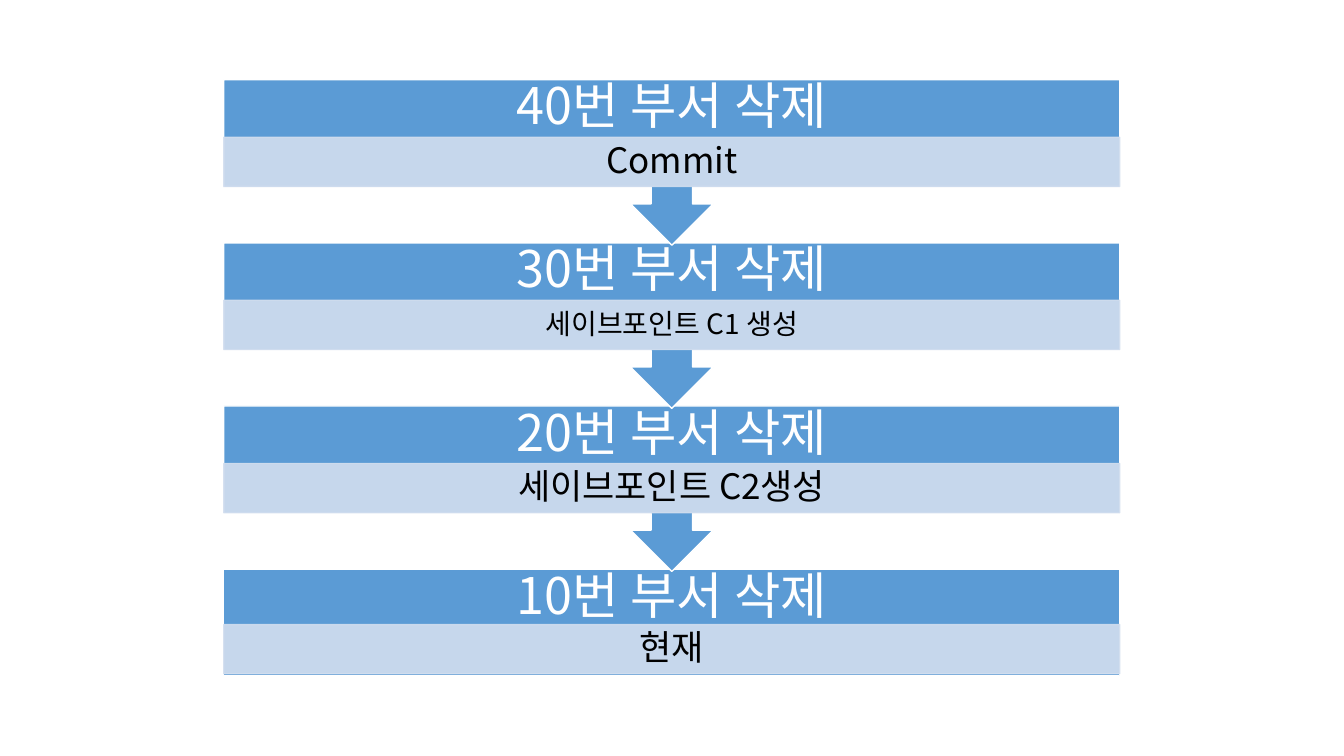
from lxml import etree
from pptx import Presentation
from pptx.dml.color import RGBColor
from pptx.enum.shapes import MSO_SHAPE
from pptx.enum.text import MSO_ANCHOR, PP_ALIGN
from pptx.oxml.ns import qn
from pptx.util import Cm, Pt

RECTANGLE = MSO_SHAPE.RECTANGLE
ARROW_CALLOUT = MSO_SHAPE.UP_ARROW_CALLOUT
MIDDLE = MSO_ANCHOR.MIDDLE
CENTER = PP_ALIGN.CENTER

COLORS = {"step": "5B9BD5", "band": "D2DEEF", "white": "FFFFFF", "black": "000000"}
FONT = "Noto Sans CJK KR"

# Heading, state after the step, size of the state text
STEPS = [
    ("40번 부서 삭제", "Commit", 25),
    ("30번 부서 삭제", "세이브포인트 C1 생성", 20),
    ("20번 부서 삭제", "세이브포인트 C2생성", 25),
    ("10번 부서 삭제", "현재", 25),
]
LEFT, WIDTH = Cm(5.64), Cm(22.58)
TOP, PITCH = Cm(2.01), Cm(4.11)
CALLOUT_HEIGHT, LAST_HEIGHT = Cm(4.17), Cm(2.69)
HEADING_HEIGHT, BAND_HEIGHT = Cm(1.45), Cm(1.24)
LAST_BAND_OFFSET = Cm(1.4)


def add_block(kind, top, height, fill, line):
    shape = slide.shapes.add_shape(kind, LEFT, top, WIDTH, height)
    shape.shadow.inherit = False
    shape.fill.solid()
    shape.fill.fore_color.rgb = RGBColor.from_string(COLORS[fill])
    shape.line.color.rgb = RGBColor.from_string(COLORS[line])
    shape.line.width = Pt(1)
    return shape


def write_centered(shape, text, size, color, side_margin):
    frame = shape.text_frame
    frame.word_wrap = True
    frame.vertical_anchor = MIDDLE
    frame.margin_left = frame.margin_right = side_margin
    frame.margin_top = frame.margin_bottom = Cm(0.08)
    paragraph = frame.paragraphs[0]
    paragraph.text = text
    paragraph.alignment = CENTER
    paragraph.line_spacing = 0.9
    paragraph.font.size = Pt(size)
    paragraph.font.name = FONT
    paragraph.font.color.rgb = RGBColor.from_string(COLORS[color])
    # Hangul takes its typeface from the East Asian font
    properties = paragraph.font._element
    etree.SubElement(properties, qn("a:ea"), typeface=FONT)


presentation = Presentation()
presentation.slide_width = Cm(33.87)
presentation.slide_height = Cm(19.05)
slide = presentation.slides.add_slide(presentation.slide_layouts[6])

# The lowest step goes in first, so each arrow tip lies over the step below it
last = len(STEPS) - 1
for index in range(last, -1, -1):
    heading, state, state_size = STEPS[index]
    top = TOP + index * PITCH

    if index == last:
        add_block(RECTANGLE, top, LAST_HEIGHT, "step", "white")
        band_top = top + LAST_BAND_OFFSET
    else:
        callout = add_block(ARROW_CALLOUT, top, CALLOUT_HEIGHT, "step", "white")
        callout.rotation = 180
        band_top = top + HEADING_HEIGHT

    heading_box = slide.shapes.add_textbox(LEFT, top, WIDTH, HEADING_HEIGHT)
    write_centered(heading_box, heading, 36, "white", Cm(0.71))

    band = add_block(RECTANGLE, band_top, BAND_HEIGHT, "band", "band")
    for color in band._element.spPr.iter(qn("a:srgbClr")):
        etree.SubElement(color, qn("a:alpha"), val="90000")
    write_centered(band, state, state_size, "black", Cm(0.48))

presentation.save("out.pptx")
